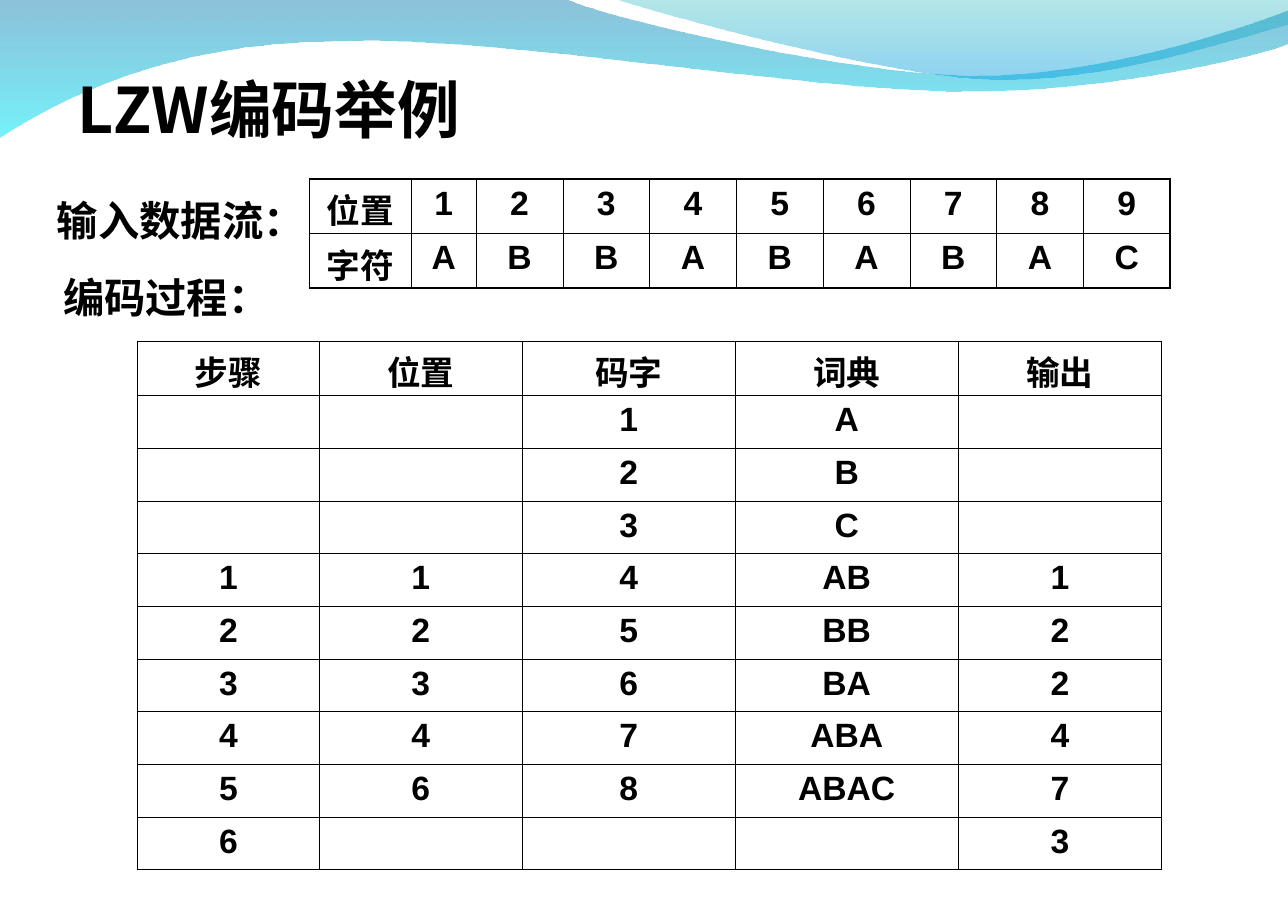
"""Build the LZW coding example slide with its two tables."""
from lxml.etree import SubElement as Sub
from pptx import Presentation
from pptx.dml.color import RGBColor
from pptx.enum.text import MSO_ANCHOR as Anchor, MSO_AUTO_SIZE as Fit, PP_ALIGN as Align
from pptx.oxml.ns import qn
from pptx.util import Cm, Pt

hue = RGBColor.from_string
CJK = "Noto Sans CJK SC"
BLACK = "000000"


def write(frame, text, size=22, face="Arial", align=Align.CENTER):
    para = frame.paragraphs[0]
    para.alignment = align
    run = para.add_run()
    run.text = text
    run.font.size, run.font.name, run.font.bold = Pt(size), face, True
    run.font.color.rgb = hue(BLACK)
    Sub(run._r.get_or_add_rPr(), qn("a:ea"), typeface=CJK)


deck = Presentation()
deck.slide_width, deck.slide_height = Cm(29.7), Cm(21)
slide = deck.slides.add_slide(deck.slide_layouts[5])
shapes = slide.shapes

waves = [
    ([[(0, 0)], [(13.08, 0)],
      [(14.12, 0.46), (19.71, 1.75), (22.53, 1.75)],
      [(25.35, 1.75), (28.47, 0.71), (29.7, 0.25)],
      [(29.7, 1.02)],
      [(29.21, 1.22), (25.83, 2.13), (22.15, 2.11)],
      [(18.47, 2.11), (11.33, 0.79), (7.65, 0.97)],
      [(3.84, 0.99), (1.37, 2.31), (0, 3.18)]],
     [("0079AF", 45), ("00EBF8", 55)]),
    ([[(14.22, 0)],
      [(15.14, 0.3), (20.27, 1.73), (22.83, 1.83)],
      [(25.43, 1.93), (28.55, 0.89), (29.7, 0.58)],
      [(29.7, 0)]],
     [("00ADB6", 30), ("009BE5", 45)]),
]
for route, tints in waves:
    dots = [(Cm(x), Cm(y)) for part in route for x, y in part]
    pen = shapes.build_freeform(*dots[0])
    pen.add_line_segments(dots[1:], close=True)
    wave = pen.convert_to_shape()
    lines = iter(list(wave.element.iter(qn("a:lnTo"))))
    for part in route[1:]:
        curve = next(lines)
        if len(part) == 3:
            curve.tag = qn("a:cubicBezTo")
            for extra in (next(lines), next(lines)):
                curve.append(extra[0])
                extra.getparent().remove(extra)
    wave.shadow.inherit = False
    wave.line.fill.background()
    wave.fill.gradient()
    wave.fill.gradient_angle = 270
    for stop, (tint, _) in zip(wave.fill.gradient_stops, tints):
        stop.color.rgb = hue(tint)
    for node, (_, alpha) in zip(wave.element.iter(qn("a:srgbClr")), tints):
        Sub(node, qn("a:alpha"), val=str(alpha * 1000))

title = shapes.title
title.element.getparent().append(title.element)
title.left, title.top, title.width, title.height = Cm(1.5), Cm(1.32), Cm(26.72), Cm(2.34)
frame = title.text_frame
frame.vertical_anchor = Anchor.MIDDLE
frame.margin_left = frame.margin_right = Cm(0.28)
write(frame, "LZW编码举例", size=41, face=CJK, align=Align.LEFT)

stream = [["位置", *"123456789"], ["字符", *"ABBABABAC"]]
coding = [
    ["步骤", "位置", "码字", "词典", "输出"],
    ["", "", "1", "A", ""],
    ["", "", "2", "B", ""],
    ["", "", "3", "C", ""],
    ["1", "1", "4", "AB", "1"],
    ["2", "2", "5", "BB", "2"],
    ["3", "3", "6", "BA", "2"],
    ["4", "4", "7", "ABA", "4"],
    ["5", "6", "8", "ABAC", "7"],
    ["6", "", "", "", "3"],
]
for left, top, tall, wide, data in [
    (7.14, 4.13, 2.43, [2.34, 1.5] + [2] * 8, stream),
    (3.17, 7.87, 12.14, [4.19, 4.68, 4.91, 5.15, 4.68], coding),
]:
    grid = shapes.add_table(len(data), len(wide), Cm(left), Cm(top),
                            Cm(sum(wide)), Cm(tall)).table
    grid.first_row = grid.horz_banding = False
    for col, width in zip(grid.columns, wide):
        col.width = Cm(width)
    for r, line in enumerate(data):
        for c, text in enumerate(line):
            cell = grid.cell(r, c)
            cell.margin_left = cell.margin_right = Cm(0.3)
            cell.margin_top = Cm(0.13)
            cell.margin_bottom = Cm(0)
            outer = {"L": c == 0, "R": c == len(wide) - 1,
                     "T": r == 0, "B": r == len(data) - 1}
            for side, edge in outer.items():
                rule = Sub(cell._tc.get_or_add_tcPr(), qn(f"a:ln{side}"),
                           w=str(Pt(1.08 if edge else 0.45)))
                Sub(Sub(rule, qn("a:solidFill")), qn("a:srgbClr"), val=BLACK)
            cell.fill.background()
            if text:
                write(cell.text_frame, text)

for text, left, top, width, wrap in [("输入数据流：", 0.74, 4.34, 6.86, True),
                                     ("编码过程：", 1.17, 6.12, 5.33, False)]:
    frame = shapes.add_textbox(Cm(left), Cm(top), Cm(width), Cm(1.42)).text_frame
    frame.word_wrap = wrap
    frame.auto_size = Fit.SHAPE_TO_FIT_TEXT
    frame.margin_left = frame.margin_right = Cm(0.28)
    frame.margin_top = frame.margin_bottom = Cm(0.15)
    write(frame, text, size=27, face="Karla")

deck.save("out.pptx")
